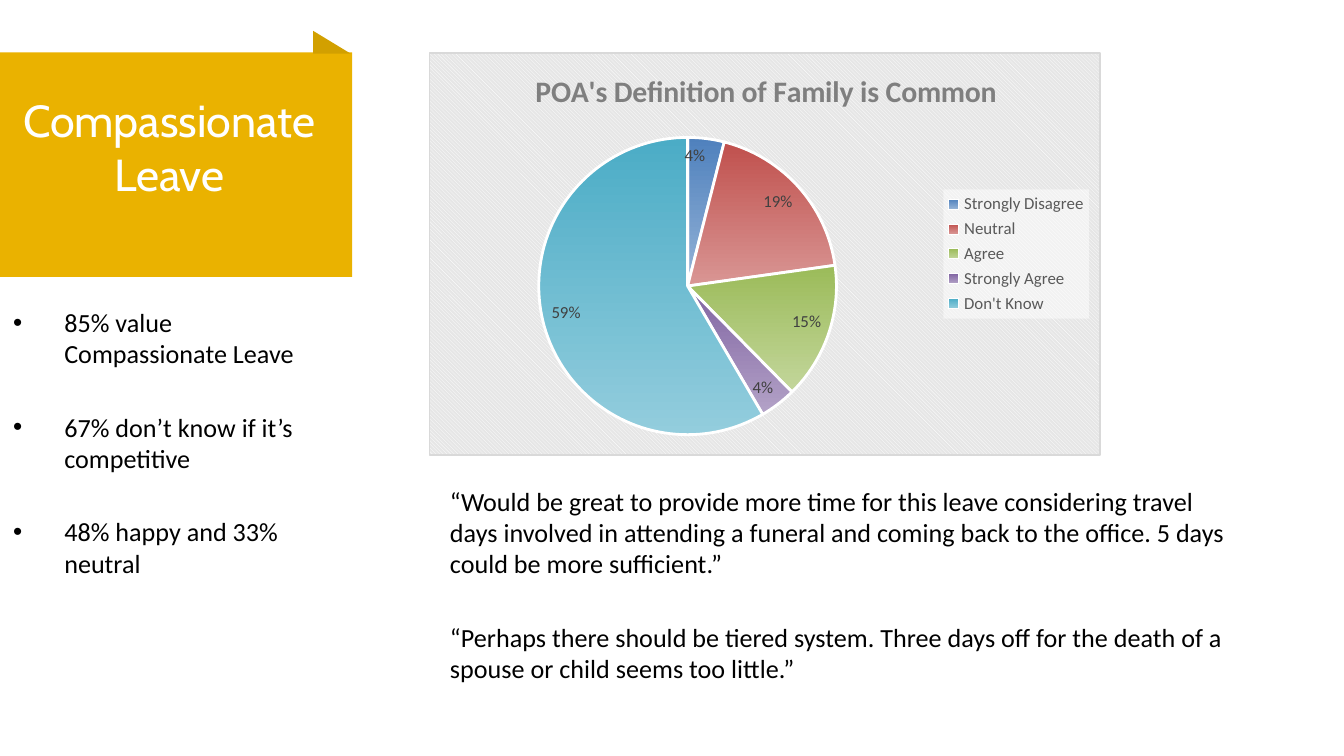
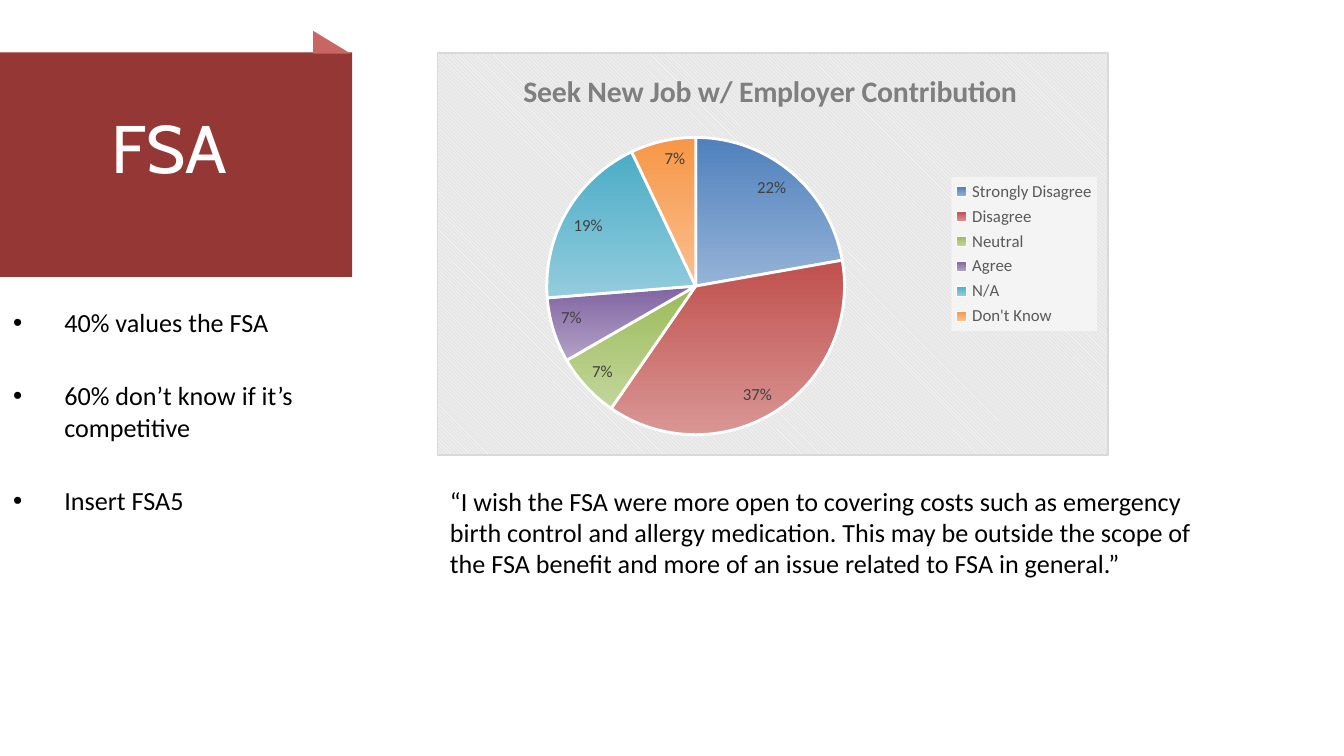
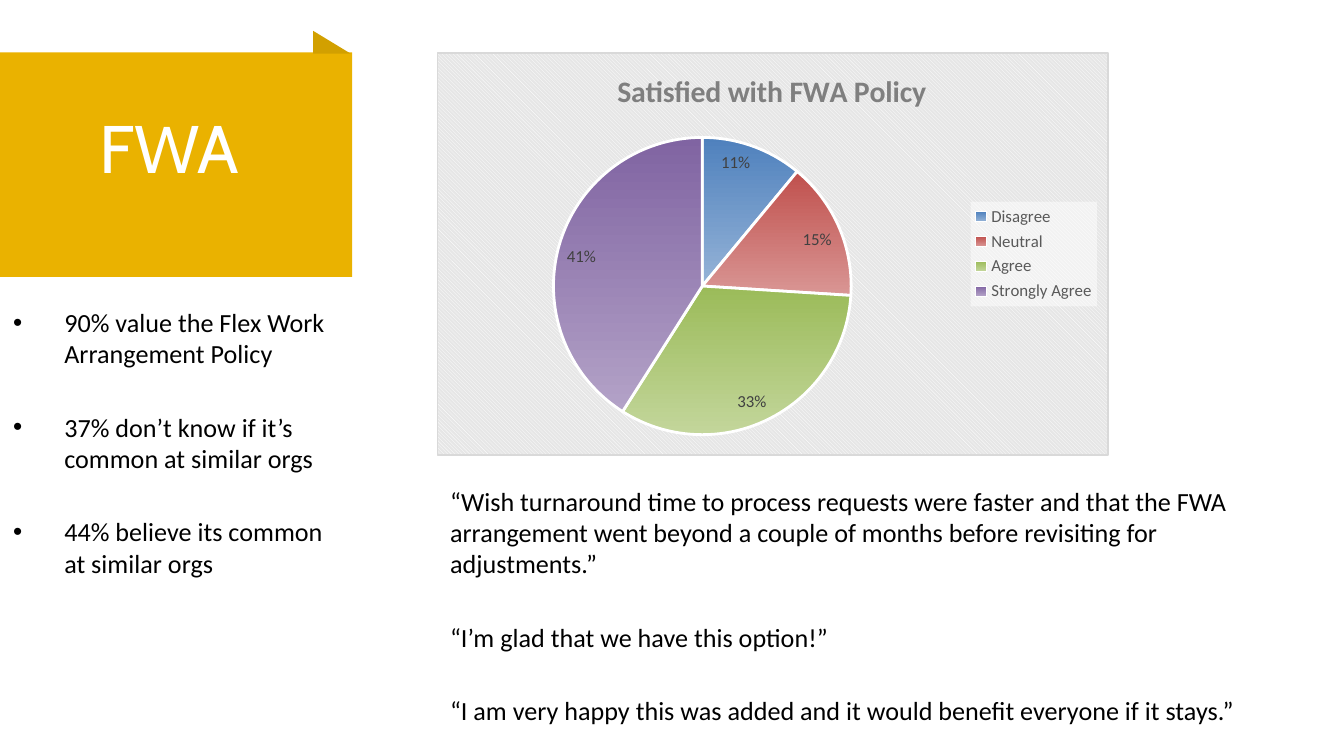
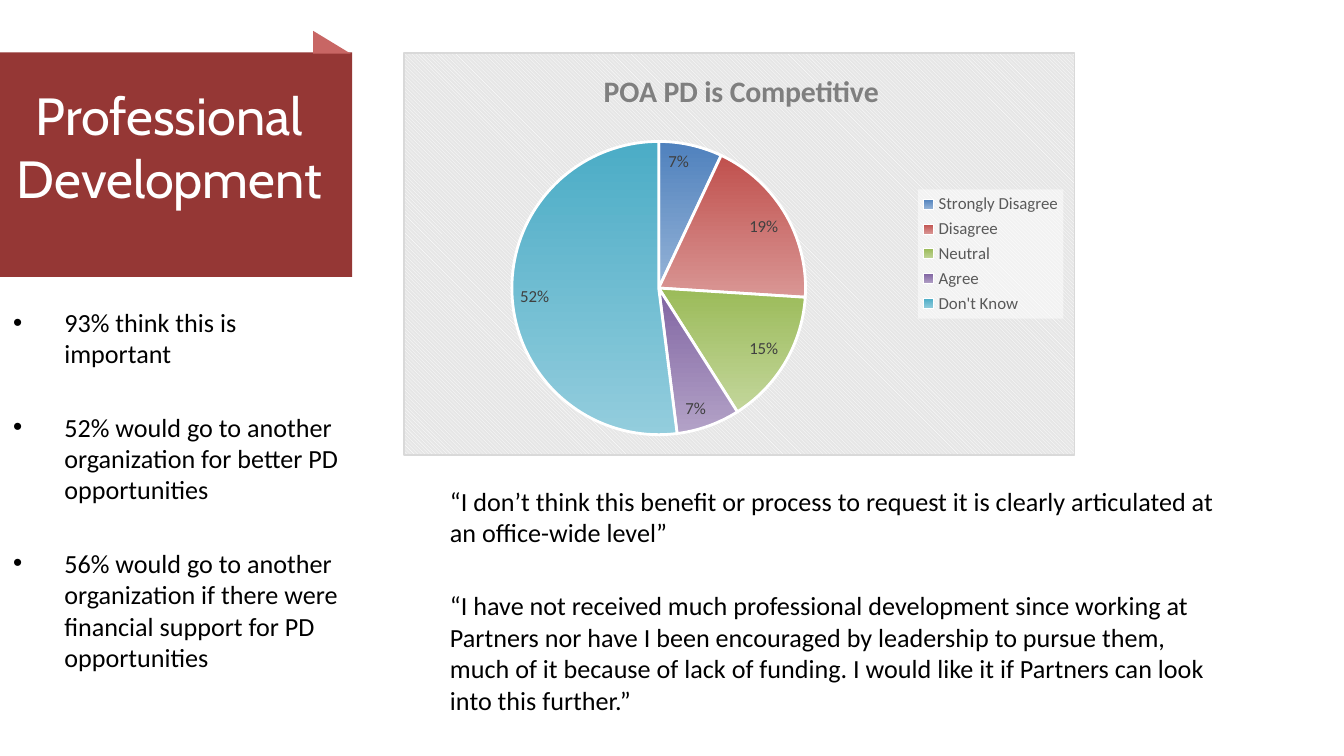
from dataclasses import dataclass

from lxml import etree
from pptx import Presentation
from pptx.chart.data import CategoryChartData
from pptx.dml.color import RGBColor
from pptx.enum import chart as ch, shapes, text
from pptx.oxml import parse_xml
from pptx.oxml.ns import nsdecls, qn
from pptx.util import Inches, Pt

# Shared look
WHITE = RGBColor(0xFF, 0xFF, 0xFF)
BLACK = RGBColor(0x00, 0x00, 0x00)
TITLE_GREY = RGBColor(0x7F, 0x7F, 0x7F)
LEGEND_GREY = RGBColor(0x59, 0x59, 0x59)
LABEL_GREY = RGBColor(0x40, 0x40, 0x40)
HEAD_FONT, BODY_FONT = "Cabin", "Calibri"
PARAGRAPH_GAP = 22.5
SLICES = [
    (RGBColor(0x4F, 0x81, 0xBD), RGBColor(0x95, 0xB3, 0xD7)),
    (RGBColor(0xC0, 0x50, 0x4D), RGBColor(0xD9, 0x96, 0x94)),
    (RGBColor(0x9B, 0xBB, 0x59), RGBColor(0xC3, 0xD6, 0x9B)),
    (RGBColor(0x80, 0x64, 0xA2), RGBColor(0xB3, 0xA2, 0xC7)),
    (RGBColor(0x4B, 0xAC, 0xC6), RGBColor(0x93, 0xCD, 0xDD)),
    (RGBColor(0xF7, 0x96, 0x46), RGBColor(0xFA, 0xC0, 0x90)),
]
CHART_FILL = (
    f'<c:spPr {nsdecls("c", "a")}><a:pattFill prst="dkDnDiag">'
    '<a:fgClr><a:srgbClr val="FFFFFF"/></a:fgClr>'
    '<a:bgClr><a:srgbClr val="E6E6E6"/></a:bgClr></a:pattFill>'
    '<a:ln w="9525"><a:solidFill><a:srgbClr val="D9D9D9"/></a:solidFill></a:ln></c:spPr>'
)
LEGEND_FILL = (
    f'<c:spPr {nsdecls("c", "a")}><a:solidFill><a:srgbClr val="FFFFFF">'
    '<a:alpha val="50000"/></a:srgbClr></a:solidFill></c:spPr>'
)


@dataclass
class Theme:
    band: RGBColor
    fold: RGBColor


GOLD = Theme(RGBColor(0xEA, 0xB2, 0x00), RGBColor(0xD2, 0xA0, 0x00))
RED = Theme(RGBColor(0x95, 0x37, 0x35), RGBColor(0xC8, 0x66, 0x64))


@dataclass
class Pie:
    title: str
    title_x: float  # share of the chart width
    left: float
    values: dict[str, int]
    plot: tuple[float, float, float, float] = (0.16, 0.21, 0.45, 0.74)


@dataclass
class Topic:
    title: str
    size: int
    theme: Theme
    bullets: list[str]
    quotes: list[str]
    pie: Pie
    quote_width: float = 6


TOPICS = [
    Topic(
        "Compassionate Leave", 24, GOLD,
        ["85% value Compassionate Leave",
         "67% don’t know if it’s competitive",
         "48% happy and 33% neutral"],
        ["“Would be great to provide more time for this leave considering travel days involved "
         "in attending a funeral and coming back to the office. 5 days could be more sufficient.”",
         "“Perhaps there should be tiered system. Three days off for the death of a spouse or "
         "child seems too little.”"],
        Pie("POA's Definition of Family is Common", 0.15, 3.19,
            {"Strongly Disagree": 4, "Neutral": 19, "Agree": 15,
             "Strongly Agree": 4, "Don't Know": 59}),
    ),
    Topic(
        "FSA", 36, RED,
        ["40% values the FSA", "60% don’t know if it’s competitive", "Insert FSA5"],
        ["“I wish the FSA were more open to covering costs such as emergency birth control and "
         "allergy medication. This may be outside the scope of the FSA benefit and more of an "
         "issue related to FSA in general.”"],
        Pie("Seek New Job w/ Employer Contribution", 0.12, 3.25,
            {"Strongly Disagree": 22, "Disagree": 37, "Neutral": 7,
             "Agree": 7, "N/A": 19, "Don't Know": 7}),
    ),
    Topic(
        "FWA", 36, GOLD,
        ["90% value the Flex Work Arrangement Policy",
         "37% don’t know if it’s common at similar orgs",
         "44% believe its common at similar orgs"],
        ["“Wish turnaround time to process requests were faster and that the FWA arrangement "
         "went beyond a couple of months before revisiting for adjustments.”",
         "“I’m glad that we have this option!”",
         "“I am very happy this was added and it would benefit everyone if it stays.”"],
        Pie("Satisfied with FWA Policy", 0.26, 3.25,
            {"Disagree": 11, "Neutral": 15, "Agree": 33, "Strongly Agree": 41},
            plot=(0.17, 0.21, 0.45, 0.74)),
        quote_width=6.08,
    ),
    Topic(
        "Professional Development", 28, RED,
        ["93% think this is important",
         "52% would go to another organization for better PD opportunities",
         "56% would go to another organization if there were financial support for PD "
         "opportunities"],
        ["“I don’t think this benefit or process to request it is clearly articulated at an "
         "office-wide level”",
         "“I have not received much professional development since working at Partners nor have "
         "I been encouraged by leadership to pursue them, much of it because of lack of funding. "
         "I would like it if Partners can look into this further.”"],
        Pie("POA PD is Competitive", 0.29, 3,
            {"Strongly Disagree": 7, "Disagree": 19, "Neutral": 15, "Agree": 7,
             "Don't Know": 52},
            plot=(0.16, 0.22, 0.44, 0.73)),
    ),
]


def set_font(font, size: float, color: RGBColor, name: str = BODY_FONT, bold: bool = False) -> None:
    font.size, font.name, font.bold = Pt(size), name, bold
    font.color.rgb = color


def add_block(s, kind, left: float, top: float, width: float, height: float,
              color: RGBColor) -> None:
    sp = s.shapes.add_shape(kind, Inches(left), Inches(top), Inches(width), Inches(height))
    sp.shadow.inherit = False
    sp.fill.solid()
    sp.fill.fore_color.rgb = color
    sp.line.fill.background()


def add_text(s, left: float, top: float, width: float, height: float, lines: list[str], *,
             size: float = 14, color: RGBColor = BLACK, font: str = BODY_FONT,
             align=text.PP_ALIGN.LEFT, anchor=text.MSO_ANCHOR.TOP, bullet: bool = False) -> None:
    tf = s.shapes.add_textbox(Inches(left), Inches(top), Inches(width), Inches(height)).text_frame
    tf.word_wrap = True
    tf.vertical_anchor = anchor
    for i, line in enumerate(lines):
        p = tf.paragraphs[0] if i == 0 else tf.add_paragraph()
        p.alignment = align
        if i:
            p.space_before = Pt(PARAGRAPH_GAP)
        if bullet:
            pPr = p._p.get_or_add_pPr()
            pPr.set("marL", str(Inches(0.38)))
            pPr.set("indent", str(-Inches(0.38)))
            etree.SubElement(pPr, qn("a:buFont"), typeface="Arial")
            etree.SubElement(pPr, qn("a:buChar"), char="•")
        r = p.add_run()
        r.text = line
        set_font(r.font, size, color, font)


def manual_layout(inner: bool = False, **sides: float):
    """Chart layout from shares of the chart size (x, y, w, h)."""
    layout = etree.Element(qn("c:layout"))
    manual = etree.SubElement(layout, qn("c:manualLayout"))
    if inner:
        etree.SubElement(manual, qn("c:layoutTarget"), val="inner")
    for mode in ("xMode", "yMode"):
        etree.SubElement(manual, qn(f"c:{mode}"), val="edge")
    for side, share in sides.items():
        etree.SubElement(manual, qn(f"c:{side}"), val=str(share))
    return layout


def add_pie(s, pie: Pie) -> None:
    data = CategoryChartData()
    data.categories = list(pie.values)
    data.add_series("Series 1", list(pie.values.values()))
    chart = s.shapes.add_chart(ch.XL_CHART_TYPE.PIE, Inches(pie.left), Inches(0.39),
                               Inches(5), Inches(3), data).chart
    set_font(chart.font, 10, BLACK)
    chart._chartSpace.find(qn("c:chart")).addnext(parse_xml(CHART_FILL))

    # Title
    tf = chart.chart_title.text_frame
    r = tf.paragraphs[0].add_run()
    r.text = pie.title
    set_font(r.font, 16, TITLE_GREY, bold=True)
    title = chart._chartSpace.find(f".//{qn('c:title')}")
    for old in title.findall(qn("c:layout")):
        title.remove(old)
    title.find(qn("c:tx")).addnext(manual_layout(x=pie.title_x, y=0.03))

    # Plot area
    area = chart._chartSpace.find(f".//{qn('c:plotArea')}")
    for old in area.findall(qn("c:layout")):
        area.remove(old)
    area.insert(0, manual_layout(True, **dict(zip("xywh", pie.plot))))

    # Legend
    chart.has_legend = True
    chart.legend.position = ch.XL_LEGEND_POSITION.RIGHT
    chart.legend.include_in_layout = False
    set_font(chart.legend.font, 9, LEGEND_GREY)
    legend = chart._chartSpace.find(f".//{qn('c:legend')}")
    legend.find(qn("c:txPr")).addprevious(parse_xml(LEGEND_FILL))

    # Slices and labels
    plot = chart.plots[0]
    plot.vary_by_categories = True
    for i, colors in enumerate(SLICES[:len(pie.values)]):
        fmt = plot.series[0].points[i].format
        fmt.fill.gradient()
        fmt.fill.gradient_angle = 270
        for stop, color in zip(fmt.fill.gradient_stops, colors):
            stop.color.rgb = color
        fmt.line.color.rgb = WHITE
        fmt.line.width = Pt(1.5)
    plot.has_data_labels = True
    labels = plot.data_labels
    labels.show_value = True
    labels.number_format = '0"%"'
    labels.number_format_is_linked = False
    labels.position = ch.XL_LABEL_POSITION.INSIDE_END
    set_font(labels.font, 9, LABEL_GREY)


def add_topic(prs, topic: Topic) -> None:
    s = prs.slides.add_slide(prs.slide_layouts[6])
    # Title ribbon with its folded corner
    add_block(s, shapes.MSO_SHAPE.RECTANGLE, 0, 0.39, 2.62, 1.67, topic.theme.band)
    add_text(s, -0.06, 0.62, 2.64, 0.94, [topic.title], size=topic.size, color=WHITE,
             font=HEAD_FONT, align=text.PP_ALIGN.CENTER, anchor=text.MSO_ANCHOR.MIDDLE)
    add_block(s, shapes.MSO_SHAPE.RIGHT_TRIANGLE, 2.33, 0.23, 0.28, 0.17, topic.theme.fold)
    # Findings
    add_text(s, 3.25, 3.56, topic.quote_width, 1.92, topic.quotes)
    add_text(s, 0, 2.23, 2.62, 3.75, topic.bullets, bullet=True)
    add_pie(s, topic.pie)


def main() -> None:
    prs = Presentation()
    # Widescreen, 16:9
    prs.slide_width = Inches(10)
    prs.slide_height = prs.slide_width * 9 // 16
    for topic in TOPICS:
        add_topic(prs, topic)
    prs.save("out.pptx")


if __name__ == "__main__":
    main()
